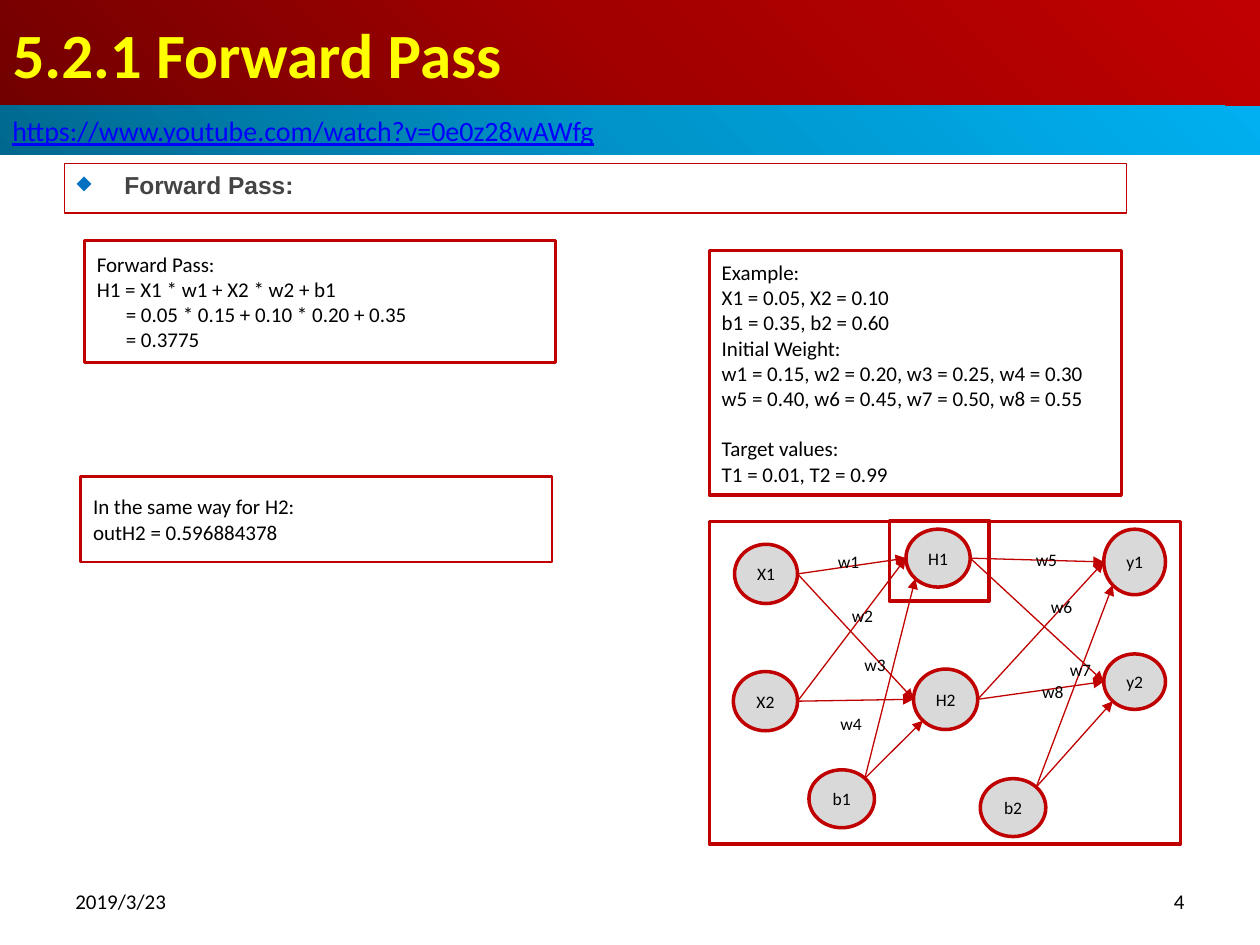
from math import cos, radians, sin
from lxml.etree import SubElement
from pptx import Presentation
from pptx.dml.color import RGBColor
from pptx.enum.shapes import MSO_CONNECTOR, MSO_SHAPE
from pptx.enum.text import MSO_ANCHOR, PP_ALIGN
from pptx.oxml import parse_xml
from pptx.oxml.ns import nsdecls, qn
from pptx.util import Inches, Pt

COLORS = {
    "red": "C00000", "yellow": "FFFF00", "link": "0000FF", "black": "000000",
    "heading": "444444", "bullet": "0070C0", "node": "D9D9D9", "white": "FFFFFF",
}
BANDS = {"title": ["720000", "A20000", "C00000"], "link": ["00688E", "0094CA", "00B0F0"]}


def write(box, text, size=12, color="black", font="Calibri", bold=False, underline=None,
          align=PP_ALIGN.LEFT, anchor=MSO_ANCHOR.MIDDLE, margin=None, wrap=True):
    frame = box.text_frame
    frame.word_wrap = wrap
    frame.vertical_anchor = anchor
    if margin is not None:
        frame.margin_left = frame.margin_right = Inches(margin)
        frame.margin_top = frame.margin_bottom = Inches(margin)
    for index, line in enumerate(text.split("\n")):
        para = frame.paragraphs[0] if index == 0 else frame.add_paragraph()
        para.alignment = align
        span = para.add_run()
        span.text = line
        span.font.name = font
        span.font.size = Pt(size)
        span.font.bold = bold
        span.font.underline = underline
        span.font.color.rgb = RGBColor.from_string(COLORS[color])
    return frame.paragraphs


def add_panel(place, kind=MSO_SHAPE.RECTANGLE, fill="white", line=2):
    panel = page.shapes.add_shape(kind, *map(Inches, place))
    panel.shadow.inherit = False
    if fill:
        panel.fill.solid()
        panel.fill.fore_color.rgb = RGBColor.from_string(COLORS[fill])
    else:
        panel.fill.background()
    panel.line.color.rgb = RGBColor.from_string(COLORS["red"])
    panel.line.width = Pt(line)
    return panel


deck = Presentation()
deck.slide_width, deck.slide_height = Inches(10), Inches(7.5)
page = deck.slides.add_slide(deck.slide_layouts[5])

title = page.shapes.title
title.left, title.top, title.width, title.height = map(Inches, (0, 0, 10, 0.84))
write(title, "5.2.1 Forward Pass", size=36, color="yellow", bold=True)

link_band = add_panel((0, 0.84, 10, 0.39))
link_band.line.fill.background()
write(link_band, "https://www.youtube.com/watch?v=0e0z28wAWfg", size=16, color="link", underline=True)

for band, name in ((title, "title"), (link_band, "link")):
    band.fill.background()
    stops = "".join(
        f'<a:gs pos="{index * 50000}"><a:srgbClr val="{shade}"/></a:gs>'
        for index, shade in enumerate(BANDS[name]))
    gradient = parse_xml(
        f'<a:gradFill {nsdecls("a")} rotWithShape="1"><a:gsLst>{stops}</a:gsLst>'
        '<a:path path="circle"><a:fillToRect t="100000" r="100000"/></a:path></a:gradFill>')
    properties = band.element.spPr
    properties.replace(properties.find(qn("a:noFill")), gradient)

heading = add_panel((0.51, 1.3, 8.43, 0.39), fill=None, line=0.75)
para = write(heading, "Forward Pass:", size=14, color="heading", font="Arial", bold=True,
             anchor=MSO_ANCHOR.TOP)[0]
settings = para._p.get_or_add_pPr()
settings.set("marL", str(Inches(0.38)))
settings.set("indent", str(-Inches(0.38)))
bullet_color = SubElement(settings, qn("a:buClr"))
SubElement(bullet_color, qn("a:srgbClr"), val=COLORS["bullet"])
SubElement(settings, qn("a:buSzPct"), val="80000")
SubElement(settings, qn("a:buChar"), char="◆")

for left, text, align in ((0.5, "2019/3/23", PP_ALIGN.LEFT), (7.17, "4", PP_ALIGN.RIGHT)):
    footer = page.shapes.add_textbox(*map(Inches, (left, 6.95, 2.33, 0.4)))
    write(footer, text, align=align)

example = add_panel((5.63, 1.99, 3.27, 1.94))
example_lines = write(example, """Example:
X1 = 0.05, X2 = 0.10
b1 = 0.35, b2 = 0.60
Initial Weight:
w1 = 0.15, w2 = 0.20, w3 = 0.25, w4 = 0.30
w5 = 0.40, w6 = 0.45, w7 = 0.50, w8 = 0.55
Target values:
T1 = 0.01, T2 = 0.99""")
example_lines[6].space_before = Pt(14.4)

forward = add_panel((0.67, 1.91, 3.74, 0.97), line=1.5)
forward_lines = write(forward, """Forward Pass:
H1 = X1 * w1 + X2 * w2 + b1
= 0.05 * 0.15 + 0.10 * 0.20 + 0.35
= 0.3775""")
for para in forward_lines[2:]:
    para._p.get_or_add_pPr().set("marL", str(Inches(0.23)))

second = add_panel((0.64, 3.78, 3.74, 0.68), line=1.5)
write(second, "In the same way for H2:\noutH2 = 0.596884378")

add_panel((5.63, 4.14, 3.74, 2.56))
nodes = {
    "X1": (5.83, 4.32, 0.5, 0.47), "X2": (5.82, 5.33, 0.51, 0.47),
    "H1": (7.19, 4.2, 0.51, 0.46), "H2": (7.25, 5.31, 0.51, 0.48),
    "y1": (8.76, 4.2, 0.49, 0.52), "y2": (8.76, 5.19, 0.49, 0.44),
    "b1": (6.42, 6.11, 0.52, 0.46), "b2": (7.78, 6.18, 0.52, 0.46),
}
for name, place in nodes.items():
    node = add_panel(place, MSO_SHAPE.OVAL, "node")
    write(node, name, size=10, align=PP_ALIGN.CENTER, margin=0, wrap=False)

layers = [(("X1", "X2"), "b1", ("H1", "H2")), (("H1", "H2"), "b2", ("y1", "y2"))]
for sources, bias, targets in layers:
    for source in (*sources, bias):
        start_angle, end_angle = (-45, 135) if source == bias else (0, 180)
        for target in targets:
            points = []
            for name, angle in ((source, start_angle), (target, end_angle)):
                left, top, width, height = nodes[name]
                points += [left + width / 2 * (1 + cos(radians(angle))),
                           top + height / 2 * (1 + sin(radians(angle)))]
            arrow = page.shapes.add_connector(MSO_CONNECTOR.STRAIGHT, *map(Inches, points))
            arrow.line.color.rgb = RGBColor.from_string(COLORS["red"])
            arrow.line.width = Pt(0.75)
            SubElement(arrow.line._get_or_add_ln(), qn("a:tailEnd"), type="triangle")
            SubElement(arrow.element.spPr, qn("a:effectLst"))

weights = {
    "w1": (6.52, 4.36, 0.43, 0.19), "w2": (6.63, 4.79, 0.43, 0.19),
    "w3": (6.73, 5.18, 0.43, 0.19), "w4": (6.54, 5.65, 0.43, 0.19),
    "w5": (8.09, 4.3, 0.43, 0.28), "w6": (8.21, 4.67, 0.43, 0.28),
    "w7": (8.36, 5.17, 0.43, 0.28), "w8": (8.16, 5.34, 0.39, 0.29),
}
for name, place in weights.items():
    label = page.shapes.add_textbox(*map(Inches, place))
    write(label, name, size=10, align=PP_ALIGN.CENTER, margin=0)

add_panel((7.06, 4.13, 0.79, 0.64), fill=None)

deck.save("out.pptx")
